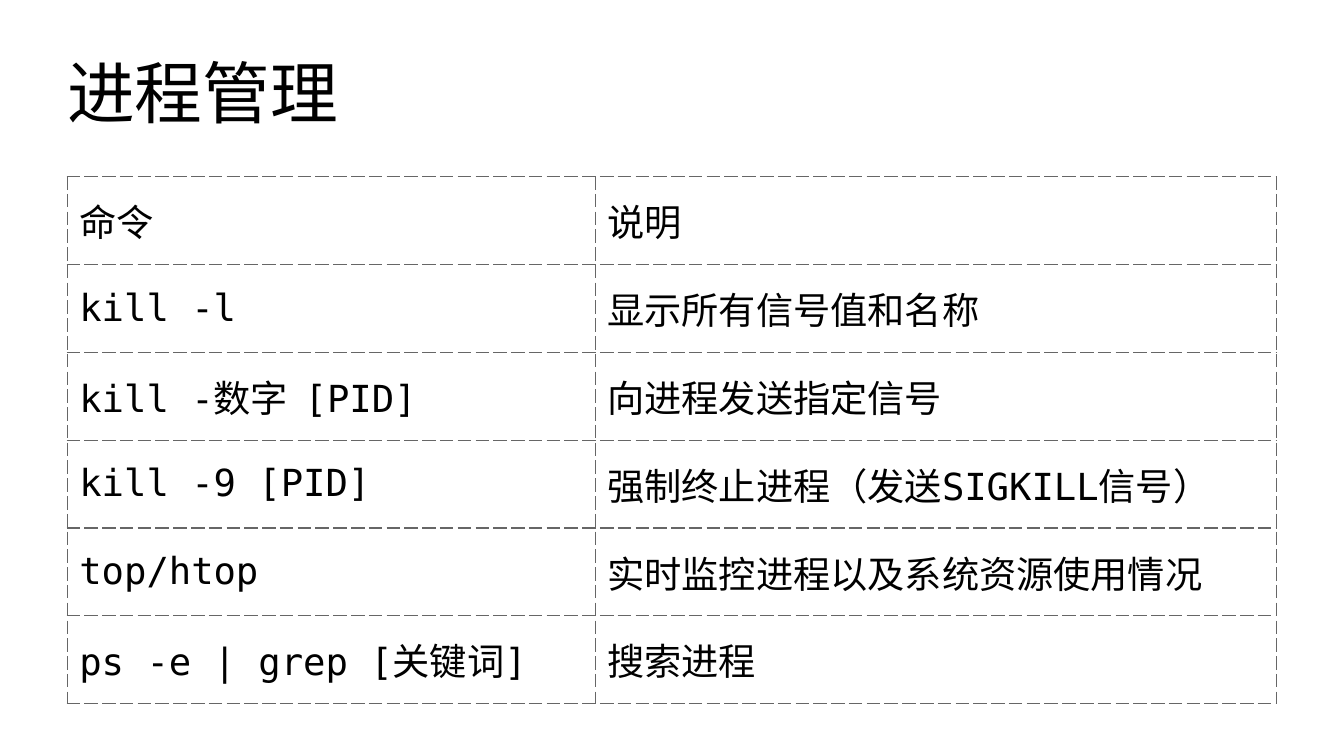
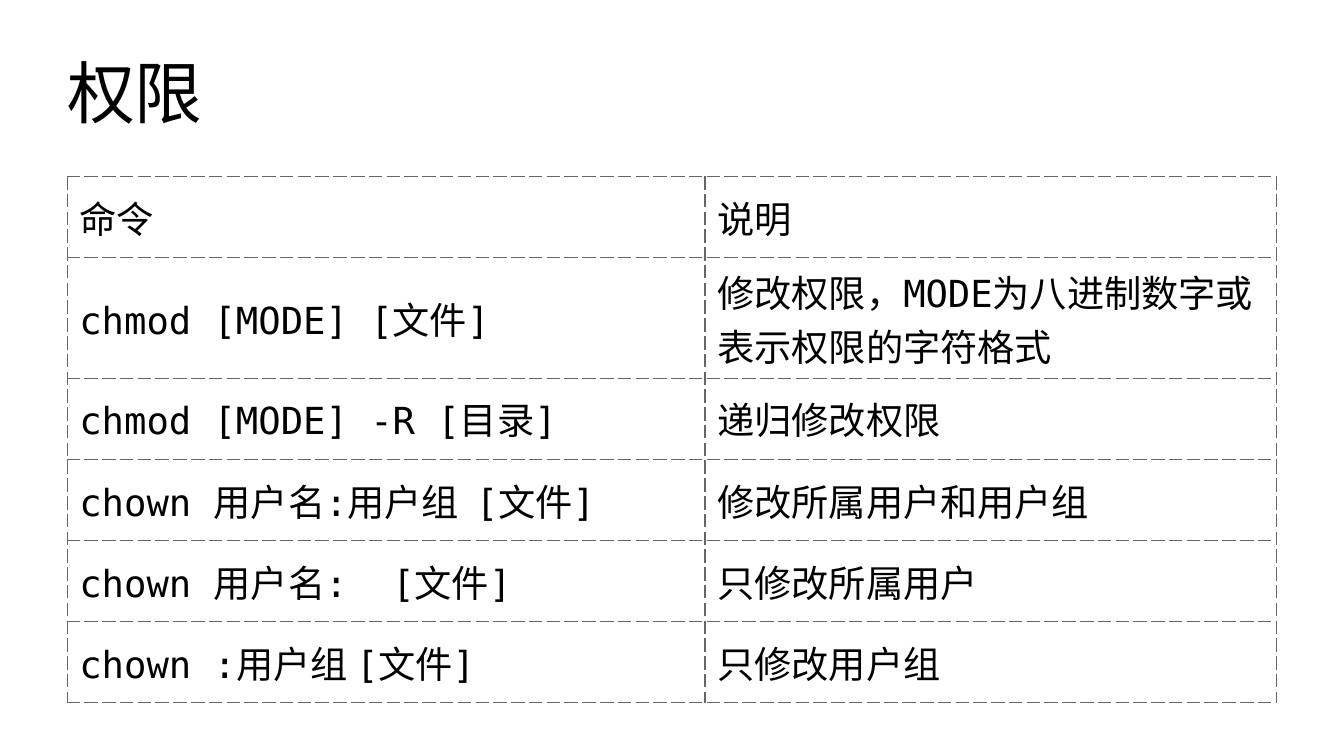
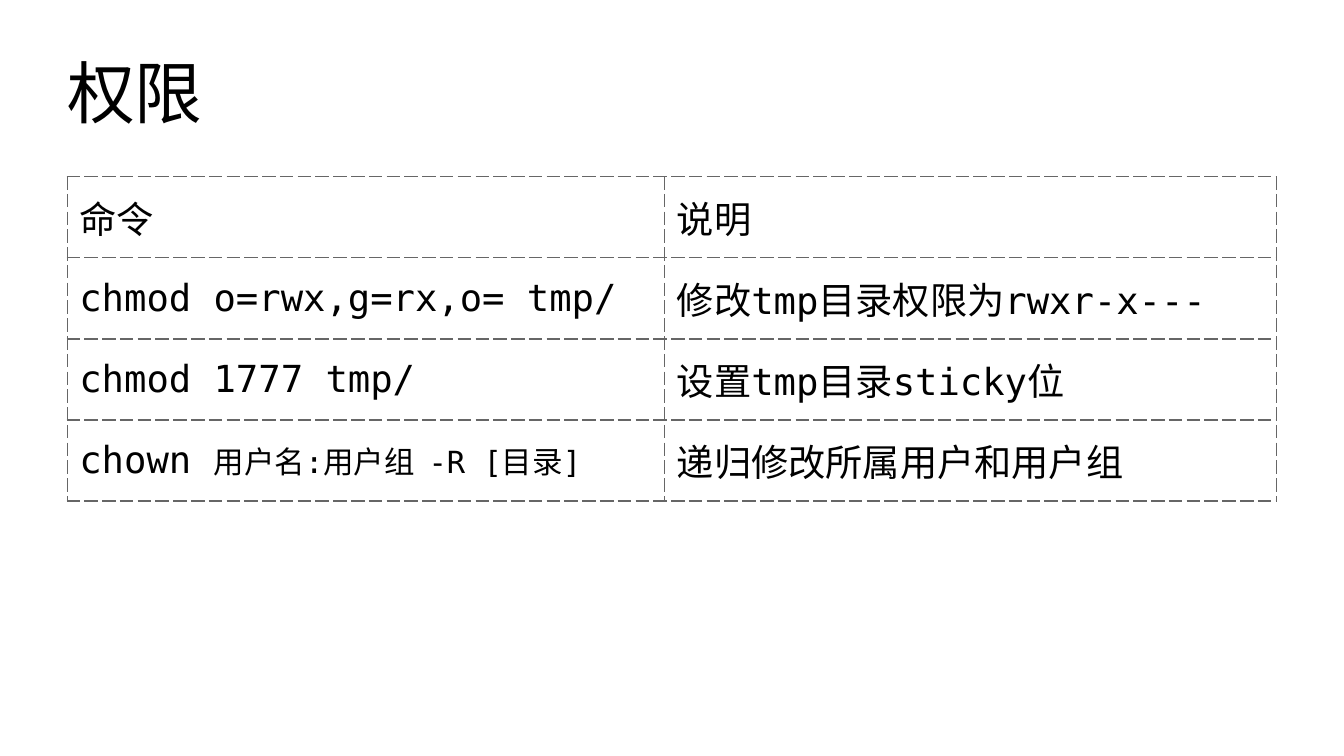
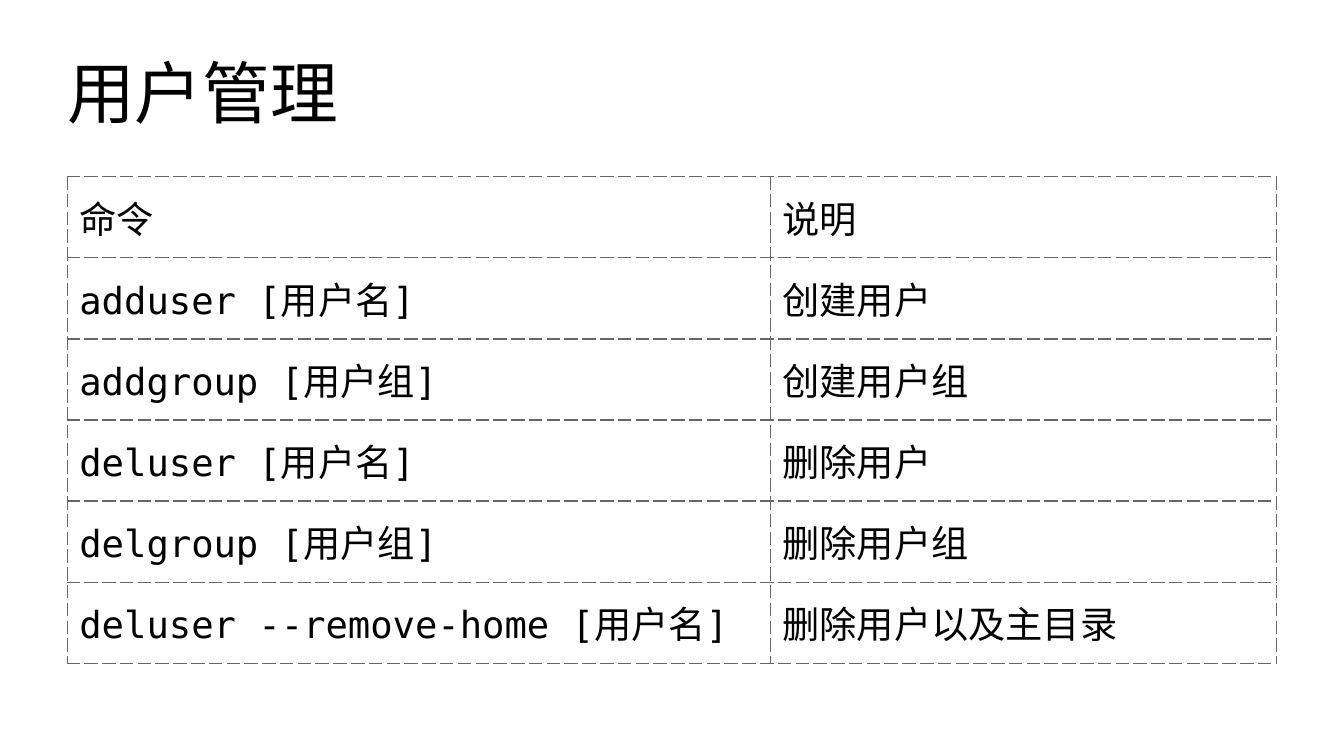
"""Build four slides of shell command tables."""
from lxml.etree import SubElement
from pptx import Presentation
from pptx.dml.color import RGBColor
from pptx.enum.lang import MSO_LANGUAGE_ID as LANG
from pptx.enum.text import MSO_ANCHOR as ANCHOR, MSO_AUTO_SIZE as AUTO, PP_ALIGN as ALIGN
from pptx.oxml.ns import qn
from pptx.util import Cm, Pt

BLACK = RGBColor(0x00, 0x00, 0x00)
WHITE = RGBColor(0xFF, 0xFF, 0xFF)
GREY = RGBColor(0x66, 0x66, 0x66)
FONT = "DejaVu Sans Mono"
TITLE_ONLY = 5
HEADER = ("命令", "说明")


def add_run(p, text, size=22, color=BLACK, font=FONT):
    """Append one formatted run to a paragraph."""
    r = p.add_run()
    r.text = text
    r.font.size = Pt(size)
    r.font.name = font
    r.font.color.rgb = color
    r.font.language_id = LANG.SIMPLIFIED_CHINESE


class Deck:
    """Hold the shared style and the current slide."""

    left, width = 1.4, 25.2
    title_top, title_height = 0.63, 2.57
    table_top = 3.68

    def __init__(self):
        """Start a presentation of the right size."""
        self.prs = Presentation()
        self.prs.slide_width, self.prs.slide_height = Cm(28), Cm(15.75)
        self.s = None

    def add_slide(self, title):
        """Add a slide and format its title."""
        self.s = self.prs.slides.add_slide(self.prs.slide_layouts[TITLE_ONLY])
        sp = self.s.shapes.title
        sp.left, sp.top = Cm(self.left), Cm(self.title_top)
        sp.width, sp.height = Cm(self.width), Cm(self.title_height)
        tf = sp.text_frame
        tf.margin_left = tf.margin_right = tf.margin_top = tf.margin_bottom = 0
        tf.vertical_anchor = ANCHOR.MIDDLE
        tf.word_wrap = True
        tf.auto_size = AUTO.SHAPE_TO_FIT_TEXT
        p = tf.paragraphs[0]
        p.alignment = ALIGN.LEFT
        add_run(p, title, size=40)

    def add_table(self, rows, command_width, row_height, tall_rows=None):
        """Add a two-column table under a header row."""
        rows = [HEADER, *rows]
        heights = [(tall_rows or {}).get(i, row_height) for i in range(len(rows))]
        table = self.s.shapes.add_table(
            len(rows), len(HEADER), Cm(self.left), Cm(self.table_top),
            Cm(self.width), Cm(sum(heights))).table
        table.first_row = table.horz_banding = False
        for column, width in zip(table.columns, (command_width, self.width - command_width)):
            column.width = Cm(width)
        for i, (row, height) in enumerate(zip(rows, heights)):
            table.rows[i].height = Cm(height)
            for j, content in enumerate(row):
                self.fill_cell(table.cell(i, j), content)

    def fill_cell(self, cell, content):
        """Write a string, or (text, size) pairs, into a bordered cell."""
        cell.vertical_anchor = ANCHOR.MIDDLE
        cell.fill.solid()
        cell.fill.fore_color.rgb = WHITE
        runs = [(content, 22)] if isinstance(content, str) else content
        for text, size in runs:
            add_run(cell.text_frame.paragraphs[0], text, size=size)
        self.add_borders(cell)

    def add_borders(self, cell):
        """Draw dashed lines on all sides of a cell."""
        tc_pr = cell._tc.get_or_add_tcPr()
        for i, side in enumerate(("lnL", "lnR", "lnT", "lnB")):
            ln = SubElement(tc_pr, qn(f"a:{side}"), w=str(Pt(0.85)))
            fill = SubElement(ln, qn("a:solidFill"))
            SubElement(fill, qn("a:srgbClr"), val=str(GREY))
            SubElement(ln, qn("a:prstDash"), val="dash")
            tc_pr.insert(i, ln)


def main():
    """Build and save the deck."""
    deck = Deck()

    deck.add_slide("进程管理")
    deck.add_table([
        ("kill -l", "显示所有信号值和名称"),
        ("kill -数字  [PID]", "向进程发送指定信号"),
        ("kill -9 [PID]", "强制终止进程（发送SIGKILL信号）"),
        ("top/htop", "实时监控进程以及系统资源使用情况"),
        ("ps -e | grep [关键词]", "搜索进程"),
    ], command_width=11, row_height=1.83)

    deck.add_slide("权限")
    deck.add_table([
        ("chmod [MODE] [文件]", "修改权限，MODE为八进制数字或表示权限的字符格式"),
        ("chmod [MODE] -R [目录]", "递归修改权限"),
        ("chown 用户名:用户组  [文件]", "修改所属用户和用户组"),
        ("chown 用户名:  [文件]", "只修改所属用户"),
        ("chown :用户组 [文件]", "只修改用户组"),
    ], command_width=13.29, row_height=1.69, tall_rows={1: 2.51})

    deck.add_slide("权限")
    deck.add_table([
        ("chmod o=rwx,g=rx,o= tmp/", "修改tmp目录权限为rwxr-x---"),
        ("chmod 1777 tmp/", "设置tmp目录sticky位"),
        ([("chown ", 22), ("用户名:用户组  -R [目录]", 18)], "递归修改所属用户和用户组"),
    ], command_width=12.45, row_height=1.69)

    deck.add_slide("用户管理")
    deck.add_table([
        ("adduser [用户名]", "创建用户"),
        ("addgroup [用户组]", "创建用户组"),
        ("deluser [用户名]", "删除用户"),
        ("delgroup [用户组]", "删除用户组"),
        ("deluser --remove-home [用户名]", "删除用户以及主目录"),
    ], command_width=14.65, row_height=1.69)

    deck.prs.save("out.pptx")


if __name__ == "__main__":
    main()
